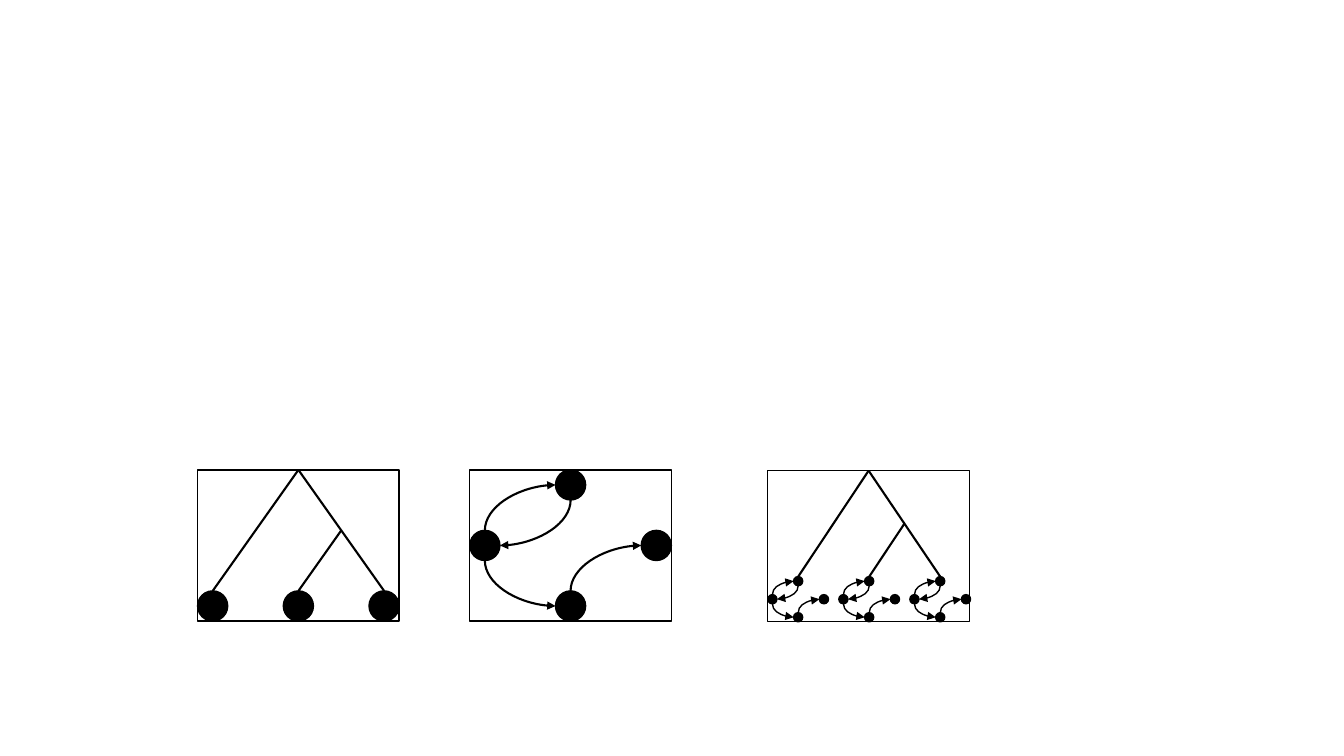
from typing import NamedTuple

from lxml import etree
from pptx import Presentation
from pptx.dml.color import RGBColor
from pptx.enum.shapes import MSO_CONNECTOR, MSO_SHAPE
from pptx.oxml.ns import qn
from pptx.util import Cm, Pt

BLACK = RGBColor(0, 0, 0)
RECT = MSO_SHAPE.RECTANGLE
OVAL = MSO_SHAPE.OVAL
LINE = MSO_CONNECTOR.STRAIGHT
CURVE = MSO_CONNECTOR.CURVE

# Panel size and the gap between the small graphs, in cm
WIDE, HIGH = 5.08, 3.81
STEP = 1.79
THIN, THICK = 1, 1.5


class Point(NamedTuple):
    x: float
    y: float


class Graph(NamedTuple):
    left: float
    top: float
    wide: float
    high: float
    dot: float
    line: float


# Turn and flips of a curve that leaves upright, by (goes right, goes down)
TURNS = {
    (True, False): (90, ("flipH", "flipV")),
    (False, True): (90, ()),
    (True, True): (270, ("flipH",)),
}


def add_shape(slide, kind, left: float, top: float, wide: float, high: float, solid: bool) -> None:
    shape = slide.shapes.add_shape(kind, Cm(left), Cm(top), Cm(wide), Cm(high))
    shape.shadow.inherit = False
    if solid:
        shape.fill.solid()
        shape.fill.fore_color.rgb = BLACK
    else:
        shape.fill.background()
    shape.line.color.rgb = BLACK
    shape.line.width = Pt(THIN)


def add_frame(slide, left: float, top: float) -> None:
    add_shape(slide, RECT, left, top, WIDE, HIGH, False)


def add_dot(slide, mid: Point, size: float) -> None:
    add_shape(slide, OVAL, mid.x - size / 2, mid.y - size / 2, size, size, True)


def add_line(slide, kind, start: Point, end: Point, width: float):
    line = slide.shapes.add_connector(kind, Cm(start.x), Cm(start.y), Cm(end.x), Cm(end.y))
    line.line.color.rgb = BLACK
    line.line.width = Pt(width)
    etree.SubElement(line._element.spPr, qn("a:effectLst"))
    return line


def add_curve(slide, start: Point, end: Point, width: float) -> None:
    # The box is laid out on its side, then turned about its centre
    mid = Point((start.x + end.x) / 2, (start.y + end.y) / 2)
    half = Point(abs(end.y - start.y) / 2, abs(end.x - start.x) / 2)
    line = add_line(slide, CURVE, Point(mid.x - half.x, mid.y - half.y),
                    Point(mid.x + half.x, mid.y + half.y), width)
    props = line._element.spPr
    props.find(qn("a:prstGeom")).set("prst", "curvedConnector2")
    turn, flips = TURNS[end.x > start.x, end.y > start.y]
    frame = props.find(qn("a:xfrm"))
    frame.set("rot", str(turn * 60000))
    for flip in flips:
        frame.set(flip, "1")
    tail = etree.SubElement(props.find(qn("a:ln")), qn("a:tailEnd"))
    tail.set("type", "triangle")


def add_tree(slide, top: Point, feet: list[Point]) -> None:
    left, mid, right = feet
    fork = Point((top.x + right.x) / 2, (top.y + right.y) / 2)
    for start, end in ((top, left), (top, right), (fork, mid)):
        add_line(slide, LINE, start, end, THICK)


def add_graph(slide, graph: Graph) -> None:
    rad = graph.dot / 2
    mid_x = graph.left + graph.wide / 2
    mid_y = graph.top + graph.high / 2
    west = Point(graph.left + rad, mid_y)
    east = Point(graph.left + graph.wide - rad, mid_y)
    north = Point(mid_x, graph.top + rad)
    south = Point(mid_x, graph.top + graph.high - rad)
    for dot in (west, east, north, south):
        add_dot(slide, dot, graph.dot)
    for a, b in ((west, north), (north, west), (west, south), (south, east)):
        start = Point(a.x, a.y + (rad if b.y > a.y else -rad))
        end = Point(b.x + (-rad if b.x > a.x else rad), b.y)
        add_curve(slide, start, end, graph.line)


def main() -> None:
    deck = Presentation()
    deck.slide_width, deck.slide_height = Cm(33.87), Cm(19.05)
    slide = deck.slides.add_slide(deck.slide_layouts[6])

    # Tree with three leaves
    left, top, dot = 4.98, 11.84, 0.76
    mid = left + WIDE / 2
    reach = (WIDE - dot) / 2
    foot = top + HIGH - dot
    feet = [Point(mid + i * reach, foot) for i in (-1, 0, 1)]
    for leaf in feet:
        add_dot(slide, Point(leaf.x, foot + dot / 2), dot)
    add_tree(slide, Point(mid, top), feet)
    add_frame(slide, left, top)

    # Graph with four nodes
    left = 11.84
    add_frame(slide, left, top)
    add_graph(slide, Graph(left, top, WIDE, HIGH, dot, THICK))

    # Tree with a small graph at each leaf
    left, top = 19.35, 11.86
    add_frame(slide, left, top)
    small = Graph(left, 14.53, 1.53, 1.14, 0.23, THIN)
    graphs = [small._replace(left=left + i * STEP) for i in range(3)]
    for graph in graphs:
        add_graph(slide, graph)
    feet = [Point(graph.left + graph.wide / 2, graph.top) for graph in graphs]
    add_tree(slide, Point(left + WIDE / 2, top), feet)

    deck.save("out.pptx")


if __name__ == "__main__":
    main()
